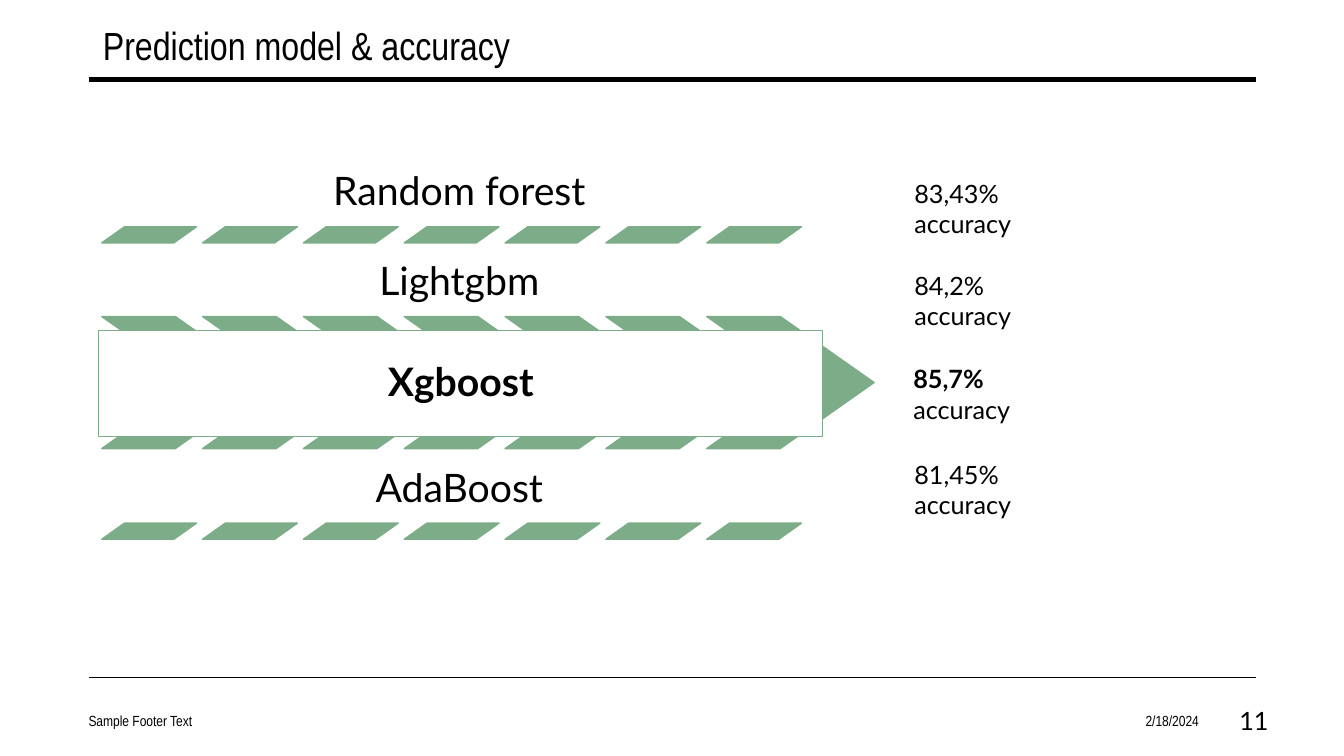
from pptx import Presentation, util as u
from pptx.dml.color import RGBColor
from pptx.enum import shapes, text
from pptx.oxml.ns import qn
from lxml import etree

COLS, ROWS = 13.33, 7.5
WIDTH, HEIGHT = u.Inches(COLS), u.Inches(ROWS)
GREEN, BLACK, WHITE = "7DAD88", "000000", "FFFFFF"
BODY, NARROW = "Lato", "Arial Narrow"
LEFT, RIGHT = 0.88, 12.46
MODEL_LEFT, MODEL_WIDTH = 1.01, 7.09
STRIPES = 7


def rgb(value):
    return RGBColor.from_string(value)


def grid(left, top, width, height):
    return (round(left * WIDTH / COLS), round(top * HEIGHT / ROWS),
            round(width * WIDTH / COLS), round(height * HEIGHT / ROWS))


def write(sp, runs, size=18, font=BODY, color=BLACK, align="LEFT",
          anchor="TOP", inset=(0.1, 0.05), spacing=1.0):
    tf = sp.text_frame
    tf.word_wrap = True
    tf.auto_size = text.MSO_AUTO_SIZE.NONE
    tf.vertical_anchor = text.MSO_ANCHOR[anchor]
    tf.margin_left = tf.margin_right = u.Inches(inset[0])
    tf.margin_top = tf.margin_bottom = u.Inches(inset[1])
    p = tf.paragraphs[0]
    p.alignment = text.PP_ALIGN[align]
    p.line_spacing = spacing
    for content, bold in runs:
        r = p.add_run()
        r.text = content
        r.font.size, r.font.name, r.font.bold = u.Pt(size), font, bold
        r.font.color.rgb = rgb(color)


def add_text(s, at, content, bold=False, **style):
    runs = [(content, bold)] if isinstance(content, str) else content
    write(s.shapes.add_textbox(*grid(*at)), runs, **style)


def add_rule(s, top, weight):
    x, y, width, _ = grid(LEFT, top, RIGHT - LEFT, 0)
    line = s.shapes.add_connector(shapes.MSO_CONNECTOR.STRAIGHT, x, y, x + width, y)
    line.line.color.rgb = rgb(BLACK)
    line.line.width = u.Pt(weight)
    etree.SubElement(line._element.spPr, qn("a:effectLst"))


def add_block(s, kind, at, fill=GREEN, adjust=None):
    sp = s.shapes.add_shape(shapes.MSO_SHAPE[kind], *grid(*at))
    sp.shadow.inherit = False
    sp.fill.solid()
    sp.fill.fore_color.rgb = rgb(fill)
    sp.line.color.rgb = rgb(GREEN)
    sp.line.width = u.Pt(1)
    if adjust is not None:
        sp.adjustments[0] = adjust
    return sp


def add_stripes(s, kind, top, width, height, adjust, pitch=1.0):
    for i in range(STRIPES):
        add_block(s, kind, (MODEL_LEFT + i * pitch, top, width, height), adjust=adjust)


def add_model(s, name, top):
    add_text(s, (MODEL_LEFT, top, MODEL_WIDTH, 0.64), name, size=28,
             align="CENTER", anchor="BOTTOM", inset=(0.12, 0.12), spacing=0.9)


def add_best_model(s, name):
    add_stripes(s, "CHEVRON", 3.14, 1.66, 1.31, 0.71)
    box = add_block(s, "RECTANGLE", (0.98, 3.28, 7.18, 1.05), fill=WHITE)
    write(box, [(name, True)], size=28, align="CENTER", anchor="MIDDLE",
          inset=(0.08, 0.08), spacing=0.9)


def add_accuracy(s, value, left, top, bold=False):
    add_text(s, (left, top, 1.4, 0.71), [(value + " ", bold), ("accuracy", False)])


def add_title(s, content):
    title = s.shapes.title
    title.left, title.top, title.width, title.height = grid(0.92, 0.24, 6.1, 0.4)
    write(title, [(content, False)], size=28, font=NARROW, anchor="MIDDLE")


def add_footer(s):
    for content, left, width, size, font, align in (
            ("Sample Footer Text", 0.78, 4.96, 10.5, NARROW, "LEFT"),
            ("2/18/2024", 9.15, 2.84, 10.5, NARROW, "RIGHT"),
            ("11", 11.94, 0.74, 18, BODY, "RIGHT")):
        add_text(s, (left, 6.95, width, 0.4), content, size=size, font=font,
                 align=align, anchor="MIDDLE")


def main():
    prs = Presentation()
    prs.slide_width, prs.slide_height = WIDTH, HEIGHT
    s = prs.slides.add_slide(prs.slide_layouts[5])
    add_title(s, "Prediction model & accuracy")
    add_rule(s, 0.79, 3.5)
    add_rule(s, 6.72, 1)
    add_footer(s)
    for name, top in (("Random forest", 1.6), ("Lightgbm", 2.5), ("AdaBoost", 4.55)):
        add_model(s, name, top)
    for top in (2.25, 5.19):
        add_stripes(s, "PARALLELOGRAM", top, 0.94, 0.16, 1.41)
    add_best_model(s, "Xgboost")
    for value, top in (("83,43%", 1.72), ("84,2%", 2.63), ("81,45%", 4.51)):
        add_accuracy(s, value, 8.97, top)
    add_accuracy(s, "85,7%", 8.96, 3.56, bold=True)
    prs.save("out.pptx")


if __name__ == "__main__":
    main()
